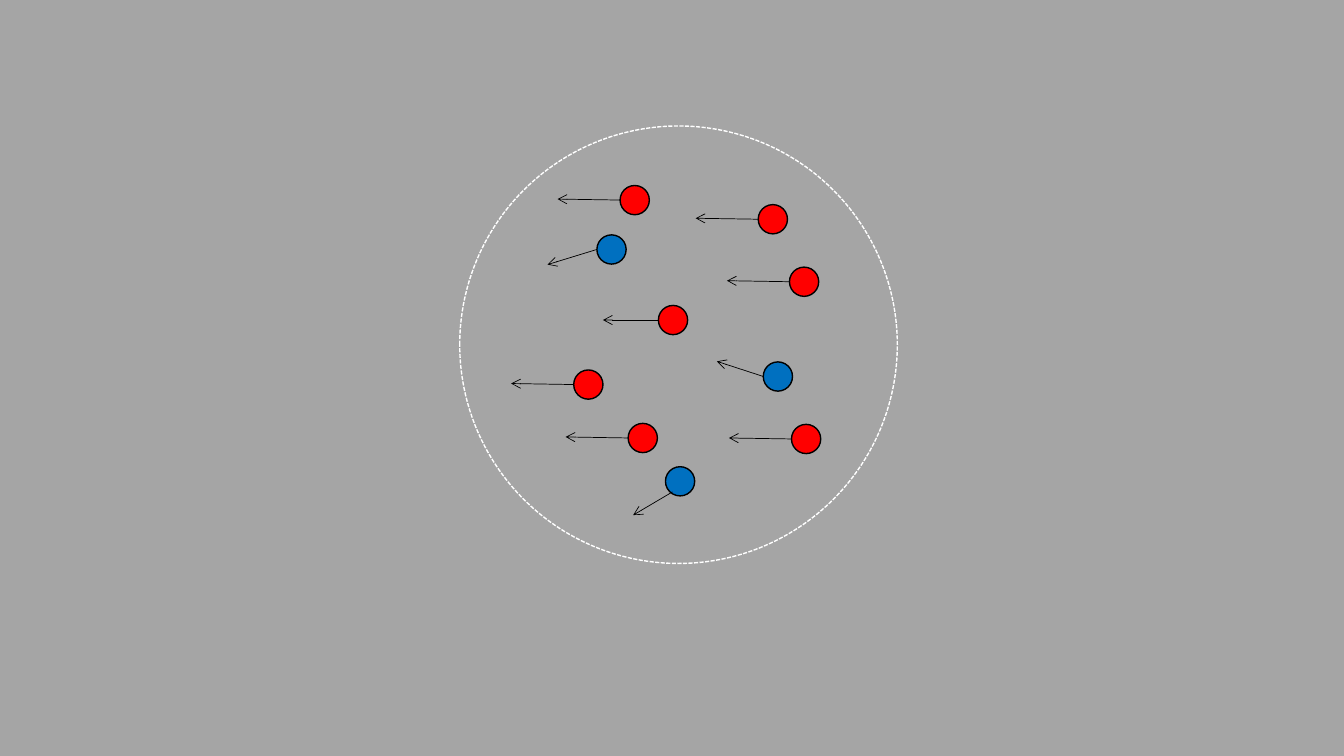
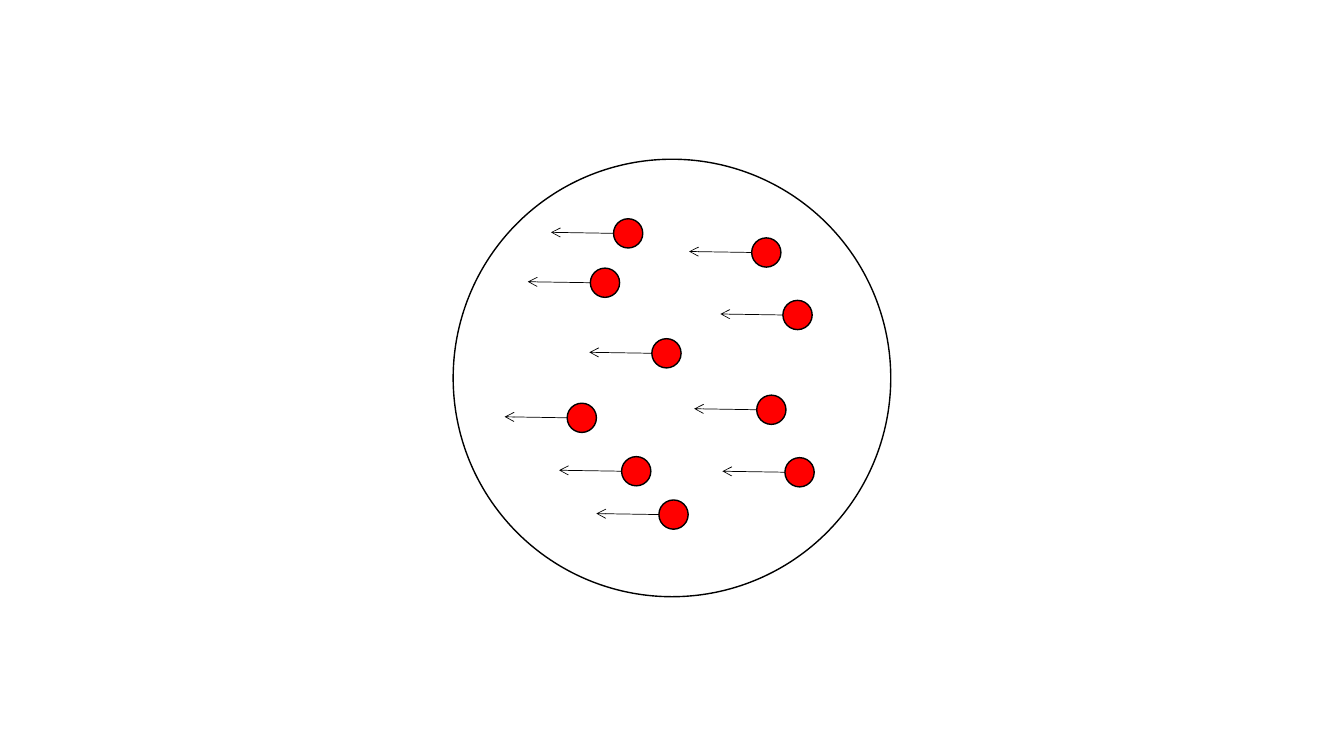
from lxml.etree import SubElement
from pptx import Presentation
from pptx.dml.color import RGBColor
from pptx.enum.dml import MSO_LINE
from pptx.enum.shapes import MSO_CONNECTOR, MSO_SHAPE
from pptx.oxml.ns import qn
from pptx.util import Inches, Pt

BLACK = RGBColor(0x00, 0x00, 0x00)
WHITE = RGBColor(0xFF, 0xFF, 0xFF)
GRAY = RGBColor(0xA5, 0xA5, 0xA5)
RED = RGBColor(0xFF, 0x00, 0x00)
BLUE = RGBColor(0x00, 0x70, 0xC0)

SLIDE_WIDTH, SLIDE_HEIGHT = 13.33, 7.5
BOUNDARY_SIZE = 4.34
PARTICLE_SIZE = 0.29
ARROW_START = (0, PARTICLE_SIZE / 2)
LOWER_START = (0.07, 0.25)
DRIFT = (-0.62, -0.01)

PARTICLES = {
    "upper left": (1.36, 1.08),
    "right": (3.01, 2.34),
    "center": (1.97, 1.78),
    "top right": (2.96, 0.78),
    "bottom": (2.04, 3.38),
    "left": (1.13, 2.42),
    "lower right": (3.29, 2.96),
    "upper right": (3.27, 1.40),
    "lower left": (1.67, 2.95),
    "top left": (1.59, 0.59),
}

SCENES = [
    {
        "background": GRAY,
        "outline": WHITE,
        "dash": MSO_LINE.SQUARE_DOT,
        "origin": (4.56, 1.25),
        "changes": {
            "upper left": {"color": BLUE, "motion": (-0.49, 0.15)},
            "right": {"color": BLUE, "motion": (-0.46, -0.15)},
            "center": {"motion": (-0.55, 0)},
            "bottom": {"color": BLUE, "motion": (-0.39, 0.23), "start": LOWER_START},
        },
    },
    {
        "background": WHITE,
        "outline": BLACK,
        "dash": None,
        "origin": ((SLIDE_WIDTH - BOUNDARY_SIZE) / 2, (SLIDE_HEIGHT - BOUNDARY_SIZE) / 2),
        "changes": {},
    },
]


def shift(point, offset):
    return point[0] + offset[0], point[1] + offset[1]


def add_circle(shapes, position, size, outline, fill=None, dash=None):
    circle = shapes.add_shape(
        MSO_SHAPE.OVAL, *map(Inches, (*position, size, size))
    )
    circle.shadow.inherit = False
    if fill is None:
        circle.fill.background()
    else:
        circle.fill.solid()
        circle.fill.fore_color.rgb = fill
    circle.line.color.rgb = outline
    circle.line.width = Pt(1)
    if dash is not None:
        circle.line.dash_style = dash


def add_arrow(shapes, start, end):
    arrow = shapes.add_connector(MSO_CONNECTOR.STRAIGHT, *map(Inches, (*start, *end)))
    arrow.line.color.rgb = BLACK
    arrow.line.width = Pt(0.5)
    SubElement(arrow.get_or_add_ln(), qn("a:tailEnd"), type="arrow")
    SubElement(arrow.element.spPr, qn("a:effectLst"))


def add_particle(shapes, position, color=RED, motion=DRIFT, start=ARROW_START):
    add_circle(shapes, position, PARTICLE_SIZE, BLACK, fill=color)
    tail = shift(position, start)
    add_arrow(shapes, tail, shift(tail, motion))


def add_scene(presentation, scene):
    slide = presentation.slides.add_slide(presentation.slide_layouts[6])
    slide.background.fill.solid()
    slide.background.fill.fore_color.rgb = scene["background"]
    shapes = slide.shapes.add_group_shape().shapes
    origin = scene["origin"]
    add_circle(shapes, origin, BOUNDARY_SIZE, scene["outline"], dash=scene["dash"])
    for name, offset in PARTICLES.items():
        add_particle(shapes, shift(origin, offset), **scene["changes"].get(name, {}))


def main():
    presentation = Presentation()
    presentation.slide_width = Inches(SLIDE_WIDTH)
    presentation.slide_height = Inches(SLIDE_HEIGHT)
    for scene in SCENES:
        add_scene(presentation, scene)
    presentation.save("out.pptx")


if __name__ == "__main__":
    main()
